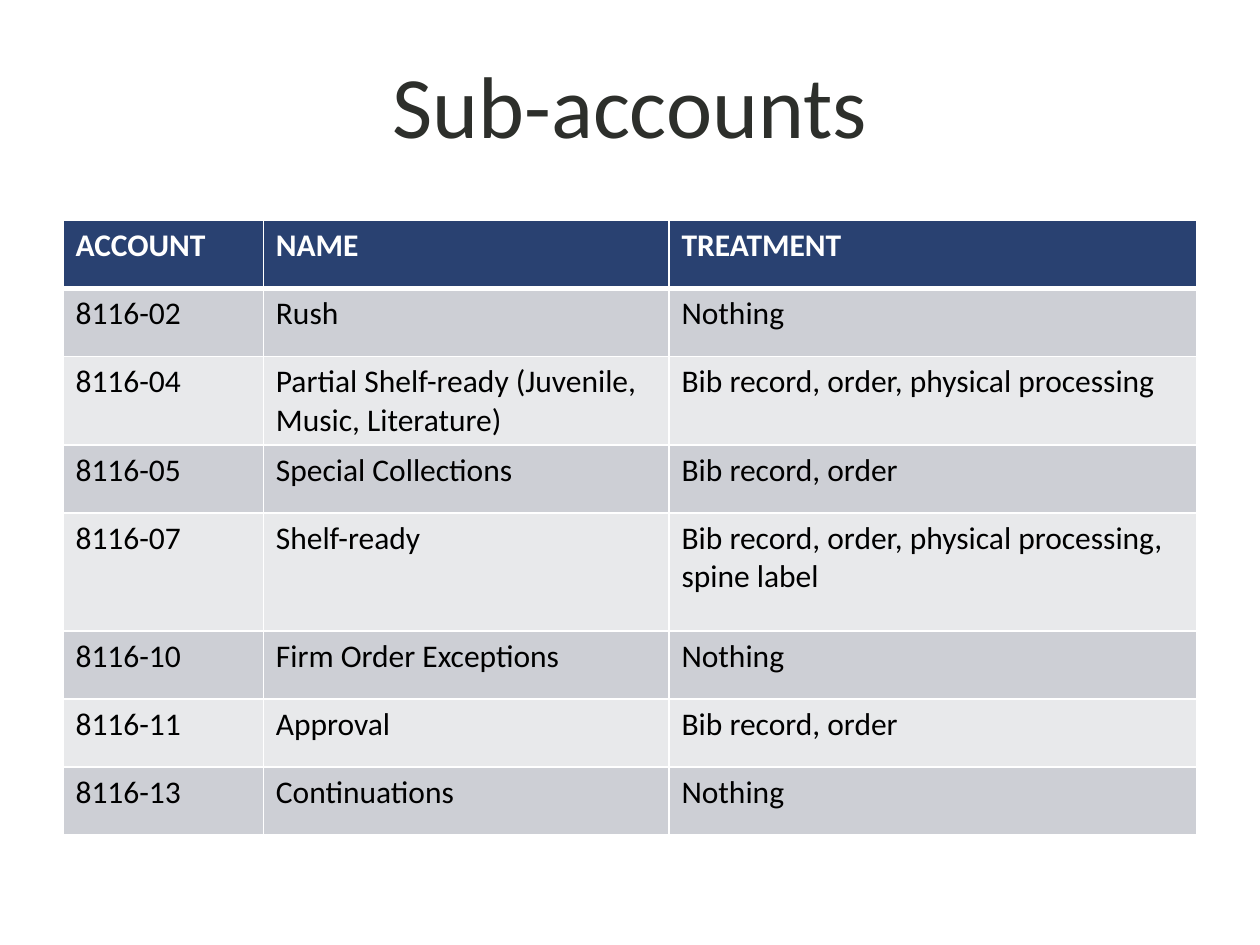
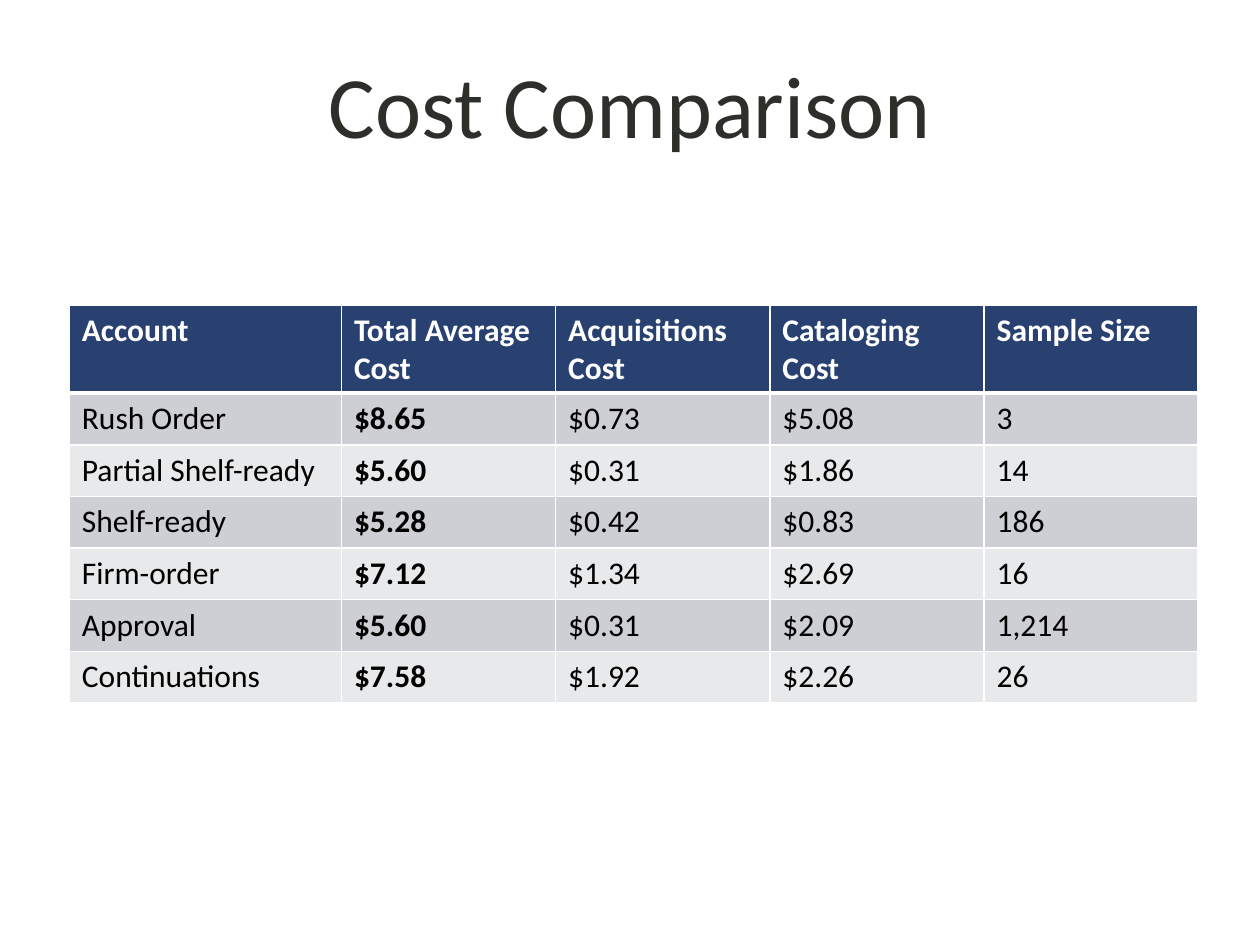
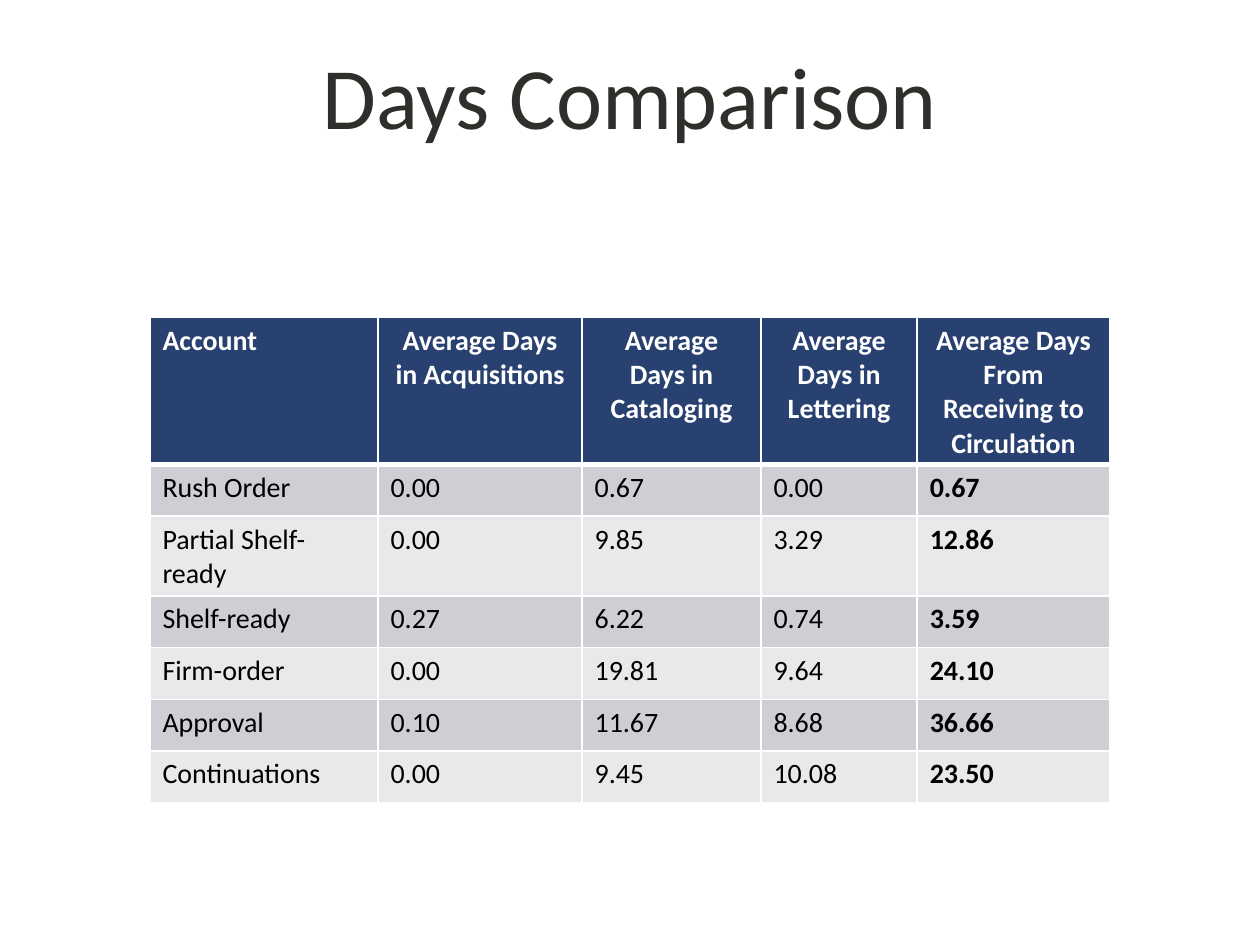
from dataclasses import dataclass

from lxml import etree
from pptx import Presentation
from pptx.dml.color import RGBColor
from pptx.enum import text
from pptx.oxml.ns import qn
from pptx.util import Inches, Pt

FONT = "Calibri"
TITLE_COLOR = RGBColor(0x2D, 0x2F, 0x2B)
NAVY = RGBColor(0x29, 0x41, 0x71)
BAND_DARK = RGBColor(0xCD, 0xCF, 0xD5)
BAND_LIGHT = RGBColor(0xE8, 0xE9, 0xEB)
WHITE = RGBColor(0xFF, 0xFF, 0xFF)
BLACK = RGBColor(0x00, 0x00, 0x00)
LEFT, CENTER = text.PP_ALIGN.LEFT, text.PP_ALIGN.CENTER


@dataclass
class TableSlide:
    """A titled slide with one banded table."""
    title: str
    left: float
    top: float
    cols: list[float]
    row_heights: list[float]
    rows: list[tuple[str, ...]]
    title_top: float = 0.07
    size: int = 18
    bold_col: int | None = None
    header_align: text.PP_ALIGN = LEFT


SLIDES = [
    TableSlide(
        "Sub-accounts", 0.5, 1.75, [1.59, 3.22, 4.19],
        [0.54] * 4 + [0.94] + [0.54] * 3,
        [
            ("ACCOUNT", "NAME", "TREATMENT"),
            ("8116-02", "Rush", "Nothing"),
            ("8116-04", "Partial Shelf-ready (Juvenile, Music, Literature)",
             "Bib record, order, physical processing"),
            ("8116-05", "Special Collections", "Bib record, order"),
            ("8116-07", "Shelf-ready",
             "Bib record, order, physical processing, spine label"),
            ("8116-10", "Firm Order Exceptions", "Nothing"),
            ("8116-11", "Approval", "Bib record, order"),
            ("8116-13", "Continuations", "Nothing"),
        ],
    ),
    TableSlide(
        "Cost Comparison", 0.55, 2.42, [2.16] + [1.7] * 4, [0.41] * 7,
        [
            ("Account", "Total Average Cost", "Acquisitions Cost",
             "Cataloging Cost", "Sample Size"),
            ("Rush Order", "$8.65", "$0.73", "$5.08", "3"),
            ("Partial Shelf-ready", "$5.60", "$0.31", "$1.86", "14"),
            ("Shelf-ready", "$5.28", "$0.42", "$0.83", "186"),
            ("Firm-order", "$7.12", "$1.34", "$2.69", "16"),
            ("Approval", "$5.60", "$0.31", "$2.09", "1,214"),
            ("Continuations", "$7.58", "$1.92", "$2.26", "26"),
        ],
        bold_col=1,
    ),
    TableSlide(
        "Days Comparison", 1.19, 2.52, [1.81, 1.62, 1.42, 1.24, 1.53],
        [0.41] * 7,
        [
            ("Account", "Average Days in Acquisitions",
             "Average Days in Cataloging", "Average Days in Lettering",
             "Average Days From Receiving to Circulation"),
            ("Rush Order", "0.00", "0.67", "0.00", "0.67"),
            ("Partial Shelf-ready", "0.00", "9.85", "3.29", "12.86"),
            ("Shelf-ready", "0.27", "6.22", "0.74", "3.59"),
            ("Firm-order", "0.00", "19.81", "9.64", "24.10"),
            ("Approval", "0.10", "11.67", "8.68", "36.66"),
            ("Continuations", "0.00", "9.45", "10.08", "23.50"),
        ],
        title_top=0, size=16, bold_col=4, header_align=CENTER,
    ),
]


def write(tf, content: str, *, size: int, color: RGBColor,
          bold: bool = False, align: text.PP_ALIGN = LEFT) -> None:
    """Put one formatted paragraph into a text frame."""
    p = tf.paragraphs[0]
    p.alignment = align
    r = p.add_run()
    r.text = content
    r.font.name, r.font.size, r.font.bold = FONT, Pt(size), bold
    r.font.color.rgb = color


def set_borders(cell, top: int, bottom: int) -> None:
    """Draw white borders of the given point widths around a cell."""
    tcPr = cell._tc.get_or_add_tcPr()
    widths = {"a:lnL": 1, "a:lnR": 1, "a:lnT": top, "a:lnB": bottom}
    for i, (tag, width) in enumerate(widths.items()):
        ln = etree.Element(qn(tag), w=str(Pt(width)))
        fill = etree.SubElement(ln, qn("a:solidFill"))
        etree.SubElement(fill, qn("a:srgbClr"), val=str(WHITE))
        tcPr.insert(i, ln)


def add_title(s, spec_slide: TableSlide) -> None:
    """Add the centred slide title."""
    sp = s.shapes.add_textbox(Inches(0.75), Inches(spec_slide.title_top),
                              Inches(8.5), Inches(1.5))
    tf = sp.text_frame
    tf.word_wrap = True
    tf.vertical_anchor = text.MSO_ANCHOR.MIDDLE
    write(tf, spec_slide.title, size=50, color=TITLE_COLOR, align=CENTER)


def add_banded_table(s, data: TableSlide) -> None:
    """Add the table with a navy header and alternating bands."""
    table = s.shapes.add_table(
        len(data.rows), len(data.cols), Inches(data.left), Inches(data.top),
        Inches(sum(data.cols)), Inches(sum(data.row_heights))).table
    for col, width in zip(table.columns, data.cols):
        col.width = Inches(width)
    for row, height in zip(table.rows, data.row_heights):
        row.height = Inches(height)
    for i, values in enumerate(data.rows):
        header = i == 0
        band = NAVY if header else BAND_DARK if i % 2 else BAND_LIGHT
        for j, value in enumerate(values):
            cell = table.cell(i, j)
            cell.fill.solid()
            cell.fill.fore_color.rgb = band
            set_borders(cell, top=3 if i == 1 else 1, bottom=3 if header else 1)
            write(cell.text_frame, value, size=data.size,
                  color=WHITE if header else BLACK,
                  bold=header or j == data.bold_col,
                  align=data.header_align if header and j else LEFT)


def main() -> None:
    """Build the deck and save it."""
    prs = Presentation()
    prs.slide_width, prs.slide_height = Inches(10), Inches(7.5)
    for data in SLIDES:
        s = prs.slides.add_slide(prs.slide_layouts[6])
        add_title(s, data)
        add_banded_table(s, data)
    prs.save("out.pptx")


if __name__ == "__main__":
    main()
